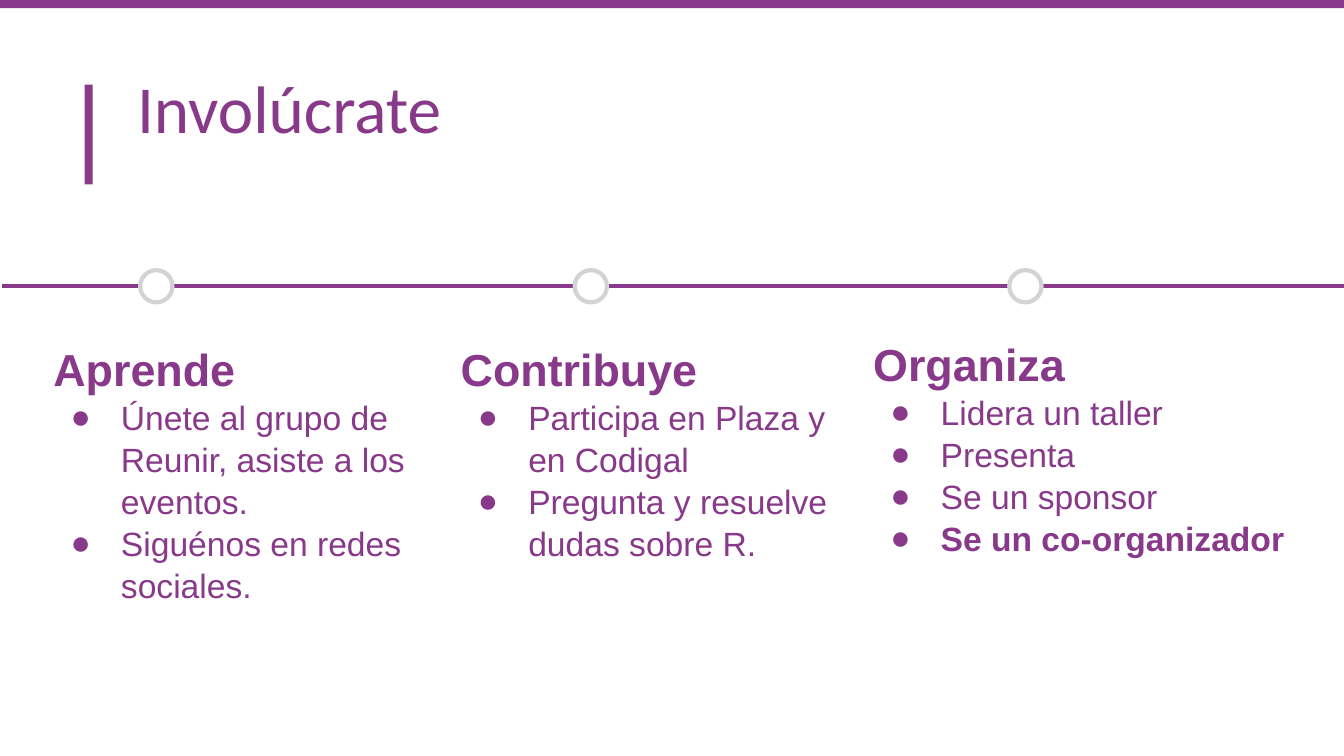
from lxml.etree import SubElement
from pptx import Presentation
from pptx.dml.color import RGBColor
from pptx.enum.shapes import MSO_CONNECTOR, MSO_SHAPE
from pptx.enum.text import MSO_ANCHOR, MSO_AUTO_SIZE, PP_ALIGN
from pptx.oxml.ns import qn
from pptx.util import Inches, Pt

COLORS = {"purple": "88398A", "gray": "D3D3D3", "white": "FFFFFF"}
COLUMNS = [
    (0.4, 3.24, 4.06, "Aprende",
     ["Únete al grupo de Reunir, asiste a los eventos.",
      "Siguénos en redes sociales."]),
    (4.44, 3.24, 4.06, "Contribuye",
     ["Participa en Plaza y en Codigal",
      "Pregunta y resuelve dudas sobre R."]),
    (8.53, 3.19, 4.52, "Organiza",
     ["Lidera un taller", "Presenta", "Se un sponsor", "Se un co-organizador"]),
]
HIGHLIGHT = "Se un co-organizador"


def color(name):
    return RGBColor.from_string(COLORS[name])


class TimelinePage:
    """Holds the slide and the style shared by its elements."""

    heading_font = "Calibri"
    body_font = "Arial"
    margin = Inches(0.13)
    line_width = Pt(3)

    def __init__(self, deck):
        self.page = deck.slides.add_slide(deck.slide_layouts[5])

    def prepare_frame(self, box):
        frame = box.text_frame
        frame.word_wrap = True
        frame.auto_size = MSO_AUTO_SIZE.NONE
        frame.vertical_anchor = MSO_ANCHOR.TOP
        frame.margin_left = frame.margin_right = self.margin
        frame.margin_top = frame.margin_bottom = self.margin
        return frame

    def format_text(self, para, font, size, bold=False):
        para.alignment = PP_ALIGN.LEFT
        for span in para.runs:
            span.font.name = font
            span.font.size = Pt(size)
            span.font.bold = bold
            span.font.color.rgb = color("purple")

    def add_bullet(self, para):
        properties = para._p.get_or_add_pPr()
        properties.set("marL", str(Inches(0.67)))
        properties.set("indent", str(Inches(-0.5)))
        bullet_color = SubElement(properties, qn("a:buClr"))
        SubElement(bullet_color, qn("a:srgbClr"), val=COLORS["purple"])
        SubElement(properties, qn("a:buFont"), typeface=self.body_font)
        SubElement(properties, qn("a:buChar"), char="●")

    def title(self, text, left, top, width, height):
        box = self.page.shapes.title
        box.left, box.top = Inches(left), Inches(top)
        box.width, box.height = Inches(width), Inches(height)
        frame = self.prepare_frame(box)
        frame.text = text
        para = frame.paragraphs[0]
        para.line_spacing = 0.9
        self.format_text(para, self.heading_font, 48)

    def shape(self, kind, left, top, width, height, fill):
        shape = self.page.shapes.add_shape(
            kind, Inches(left), Inches(top), Inches(width), Inches(height))
        shape.shadow.inherit = False
        shape.fill.solid()
        shape.fill.fore_color.rgb = color(fill)
        return shape

    def bar(self, left, top, width, height):
        bar = self.shape(MSO_SHAPE.RECTANGLE, left, top, width, height, "purple")
        bar.line.fill.background()

    def milestone(self, left, top, size):
        circle = self.shape(MSO_SHAPE.OVAL, left, top, size, size, "white")
        circle.line.color.rgb = color("gray")
        circle.line.width = self.line_width

    def timeline(self, start, end, height):
        line = self.page.shapes.add_connector(
            MSO_CONNECTOR.STRAIGHT,
            Inches(start), Inches(height), Inches(end), Inches(height))
        line.line.color.rgb = color("purple")
        line.line.width = self.line_width
        SubElement(line._element.spPr, qn("a:effectLst"))

    def column(self, left, top, width, heading, items):
        box = self.page.shapes.add_textbox(
            Inches(left), Inches(top), Inches(width), Inches(3.06))
        frame = self.prepare_frame(box)
        frame.text = "\n".join([heading, *items])
        heading_para, *item_paras = frame.paragraphs
        for para in frame.paragraphs:
            para.line_spacing = 1.04
        self.format_text(heading_para, self.body_font, 32, bold=True)
        for para in item_paras:
            self.format_text(para, self.body_font, 24, bold=para.text == HIGHLIGHT)
            self.add_bullet(para)


def main():
    deck = Presentation()
    deck.slide_width, deck.slide_height = Inches(13.33), Inches(7.5)
    page = TimelinePage(deck)
    page.bar(0.84, 0.84, 0.08, 0.99)
    page.bar(0, 0, 13.33, 0.08)
    page.title("Involúcrate", 1.23, 0.62, 4.71, 1.25)
    page.timeline(0.02, 13.33, 2.84)
    for index, column in enumerate(COLUMNS):
        page.milestone(1.39 + 4.31 * index, 2.68, 0.32)
        page.column(*column)
    deck.save("out.pptx")


if __name__ == "__main__":
    main()
